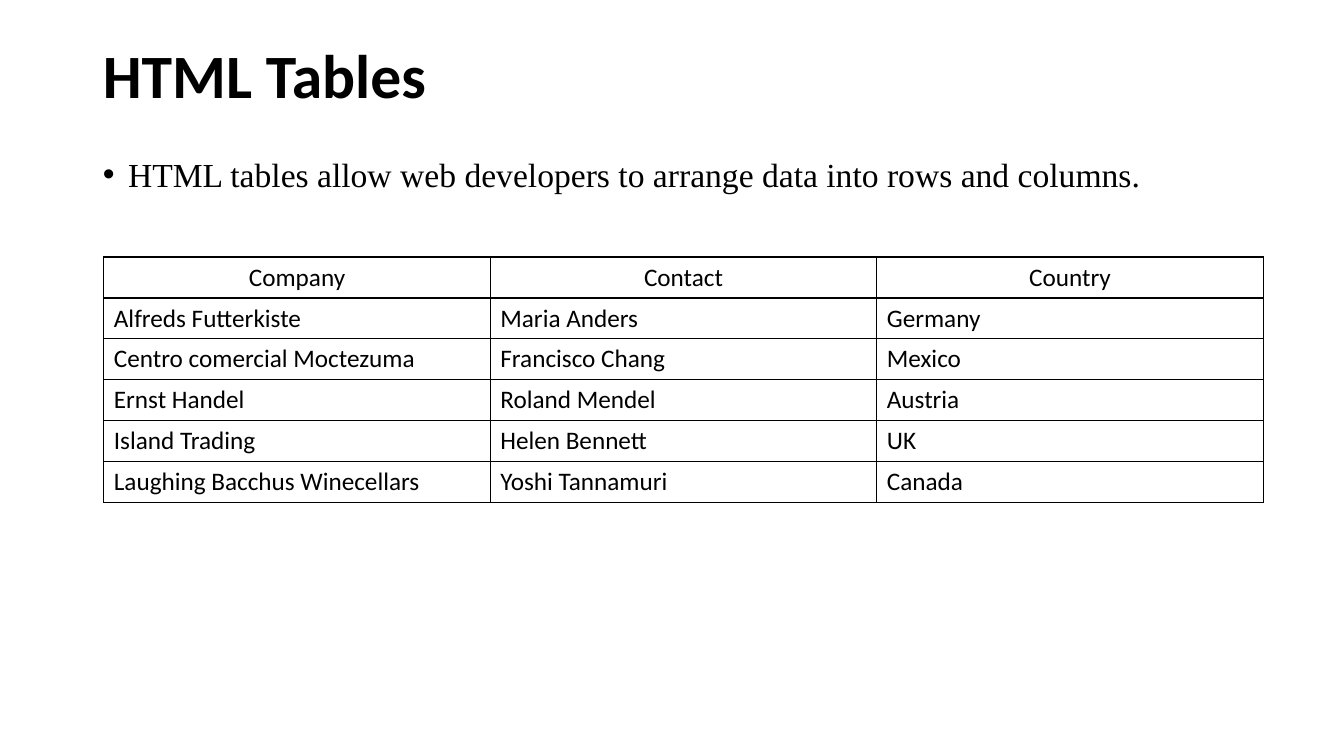
from dataclasses import dataclass

from lxml.etree import SubElement
from pptx import Presentation
from pptx.dml.color import RGBColor
from pptx.enum.text import MSO_ANCHOR, MSO_AUTO_SIZE, PP_ALIGN
from pptx.oxml.ns import qn
from pptx.util import Inches, Pt


@dataclass(frozen=True)
class Theme:
    ink: str = "000000"
    heading_font: str = "Calibri"
    body_font: str = "Times New Roman"
    title_size: int = 44
    body_size: int = 24
    cell_size: int = 18
    border_width: int = 1


THEME = Theme()

ROWS = [
    ("Company", "Contact", "Country"),
    ("Alfreds Futterkiste", "Maria Anders", "Germany"),
    ("Centro comercial Moctezuma", "Francisco Chang", "Mexico"),
    ("Ernst Handel", "Roland Mendel", "Austria"),
    ("Island Trading", "Helen Bennett", "UK"),
    ("Laughing Bacchus Winecellars", "Yoshi Tannamuri", "Canada"),
]


def apply_format(target, values):
    for name, value in values.items():
        setattr(target, name, value)


def format_font(para, name, size, bold=False):
    apply_format(para.font, {"name": name, "size": Pt(size), "bold": bold})
    para.font.color.rgb = RGBColor.from_string(THEME.ink)


def fill_placeholder(box, text, left, top, width, height):
    """Place a placeholder, write its text and return the paragraph."""
    apply_format(box, {"left": Inches(left), "top": Inches(top),
                       "width": Inches(width), "height": Inches(height)})
    frame = box.text_frame
    frame.text = text
    apply_format(frame, {"word_wrap": True, "auto_size": MSO_AUTO_SIZE.NONE,
                         "vertical_anchor": MSO_ANCHOR.TOP})
    para = frame.paragraphs[0]
    apply_format(para, {"alignment": PP_ALIGN.LEFT, "line_spacing": 0.9,
                        "space_before": Pt(0)})
    return para


def add_bullet(para, indent):
    properties = para._p.get_or_add_pPr()
    properties.set("marL", str(Inches(indent)))
    properties.set("indent", str(-Inches(indent)))
    SubElement(properties, qn("a:buFont"), typeface="Arial")
    SubElement(properties, qn("a:buChar"), char="•")


def add_borders(cell):
    properties = cell._tc.get_or_add_tcPr()
    for side in ("lnL", "lnR", "lnT", "lnB"):
        line = SubElement(properties, qn(f"a:{side}"),
                          w=str(Pt(THEME.border_width)))
        fill = SubElement(line, qn("a:solidFill"))
        SubElement(fill, qn("a:srgbClr"), val=THEME.ink)


def format_cell(cell, text, alignment):
    cell.text = text
    cell.vertical_anchor = MSO_ANCHOR.MIDDLE
    add_borders(cell)
    cell.fill.background()
    para = cell.text_frame.paragraphs[0]
    para.alignment = alignment
    format_font(para, THEME.heading_font, THEME.cell_size)


def add_company_table(page, left, top, width, height):
    table = page.shapes.add_table(
        len(ROWS), len(ROWS[0]), Inches(left), Inches(top),
        Inches(width), Inches(height)).table
    apply_format(table, {"first_row": False, "horz_banding": False})
    for row_index, row in enumerate(ROWS):
        alignment = PP_ALIGN.LEFT if row_index else PP_ALIGN.CENTER
        for column_index, text in enumerate(row):
            format_cell(table.cell(row_index, column_index), text, alignment)


def main():
    deck = Presentation()
    apply_format(deck, {"slide_width": Inches(13.33),
                        "slide_height": Inches(7.5)})
    page = deck.slides.add_slide(deck.slide_layouts[1])

    # Title
    title = fill_placeholder(page.shapes.title, "HTML Tables",
                             0.92, 0.4, 11.5, 1.45)
    format_font(title, THEME.heading_font, THEME.title_size, bold=True)

    # Bulleted statement
    statement = fill_placeholder(
        page.placeholders[1],
        "HTML tables allow web developers to arrange data into rows and columns.",
        0.92, 1.52, 11.5, 5.23)
    add_bullet(statement, 0.25)
    format_font(statement, THEME.body_font, THEME.body_size)

    # Company table
    add_company_table(page, 1.03, 2.55, 11.5, 2.4)

    deck.save("out.pptx")


if __name__ == "__main__":
    main()
